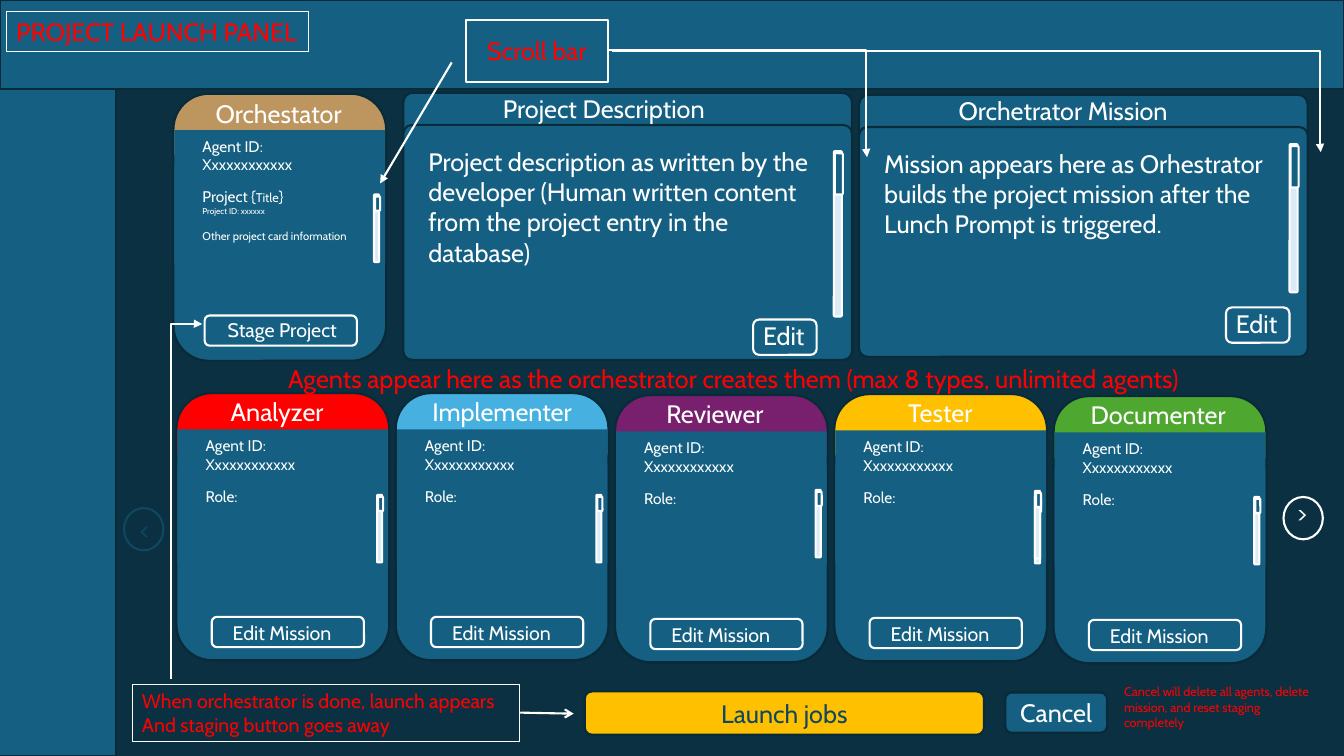
from dataclasses import dataclass

import lxml.etree
import pptx
import pptx.dml.color
import pptx.enum.shapes
import pptx.enum.text
import pptx.oxml.ns
import pptx.util

Inches = pptx.util.Inches
Pt = pptx.util.Pt
Kind = pptx.enum.shapes.MSO_SHAPE
Align = pptx.enum.text.PP_ALIGN
Anchor = pptx.enum.text.MSO_ANCHOR
AutoSize = pptx.enum.text.MSO_AUTO_SIZE
qn = pptx.oxml.ns.qn

COLORS = {
    "night": "0B3041", "panel": "156082", "edge": "092A39", "deep": "104862",
    "track": "DCEAF7", "white": "FFFFFF", "red": "FF0000", "tan": "BD955F",
    "sky": "46B1E1", "plum": "78206E", "amber": "FFC000", "green": "4EA72E",
}
BLANK_LINE = 9.7  # gap between groups of card text, in points
Box = tuple[float, float, float, float]
Point = tuple[float, float]


@dataclass(frozen=True)
class Line:
    runs: tuple[tuple[str, float], ...]
    space_before: float = 0


@dataclass(frozen=True)
class Card:
    title: str
    color: str
    left: float
    top: float
    title_box: Box
    lines: tuple[Line, ...]
    scroll_tops: tuple[float, ...]
    button: str
    button_at: Point
    button_text_box: Box


@dataclass(frozen=True)
class Panel:
    title: str
    body: str
    left: float
    top: float
    height: float
    title_width: float
    edit_at: Point
    scroll: Box


presentation = pptx.Presentation()
presentation.slide_width, presentation.slide_height = Inches(13.33), Inches(7.5)
slide = presentation.slides.add_slide(presentation.slide_layouts[5])


def rgb(name: str) -> pptx.dml.color.RGBColor:
    return pptx.dml.color.RGBColor.from_string(COLORS[name])


def write(shape, lines: tuple[Line, ...], color: str = "white", align=Align.LEFT,
          anchor=Anchor.TOP, wrap: bool = True) -> None:
    frame = shape.text_frame
    for name, value in {"word_wrap": wrap, "auto_size": AutoSize.NONE,
                        "vertical_anchor": anchor}.items():
        setattr(frame, name, value)
    for index, line in enumerate(lines):
        paragraph = frame.add_paragraph() if index else frame.paragraphs[0]
        paragraph.alignment = align
        if line.space_before:
            paragraph.space_before = Pt(line.space_before)
        for text, size in line.runs:
            run = paragraph.add_run()
            run.text = text
            for name, value in {"name": "Cabin", "size": Pt(size)}.items():
                setattr(run.font, name, value)
            run.font.color.rgb = rgb(color)


def plain(size: float, *texts: str) -> tuple[Line, ...]:
    return tuple(Line(((text, size),)) for text in texts)


def add_text(box: Box, lines: tuple[Line, ...], color: str = "white", wrap: bool = False):
    shape = slide.shapes.add_textbox(*map(Inches, box))
    write(shape, lines, color, wrap=wrap)
    return shape


def outline(shape, color: str, width: float = 1.5) -> None:
    shape.line.color.rgb = rgb(color)
    shape.line.width = Pt(width)


def add_shape(kind, box: Box, fill: str = "", line: str = "", corner: float | None = None,
              label: str = "", label_color: str = "white"):
    """An empty fill or line name means none; the label is centred."""
    shape = slide.shapes.add_shape(kind, *map(Inches, box))
    shape.shadow.inherit = False
    if fill:
        shape.fill.solid()
        shape.fill.fore_color.rgb = rgb(fill)
    else:
        shape.fill.background()
    if line:
        outline(shape, line)
    else:
        shape.line.fill.background()
    if corner is not None:
        shape.adjustments[0] = corner
    if label:
        write(shape, plain(18, label), label_color, Align.CENTER, Anchor.MIDDLE)
    return shape


def add_arrow(start: Point, end: Point, head: str = "triangle",
              bend: int | None = None, quarter_turn: bool = False) -> None:
    """bend is the elbow place in thousandths of a percent; None draws a straight arrow."""
    connector_type = pptx.enum.shapes.MSO_CONNECTOR
    kind = connector_type.STRAIGHT if bend is None else connector_type.ELBOW
    connector = slide.shapes.add_connector(kind, *map(Inches, start + end))
    outline(connector, "white")
    properties = connector.element.spPr
    lxml.etree.SubElement(connector.line._get_or_add_ln(), qn("a:tailEnd"), type=head)
    lxml.etree.SubElement(properties, qn("a:effectLst"))
    if bend is not None:
        guides = properties.find(qn("a:prstGeom")).get_or_add_avLst()
        lxml.etree.SubElement(guides, qn("a:gd"), name="adj1", fmla=f"val {bend}")
    if quarter_turn:
        properties.find(qn("a:xfrm")).set("rot", "5400000")


def add_scroll_bar(box: Box, thumb_height: float) -> None:
    left, top, width, height = box
    add_shape(Kind.ROUNDED_RECTANGLE, box, "track", "white")
    add_shape(Kind.ROUNDED_RECTANGLE, (left + 0.01, top + 0.02, width, thumb_height),
              "panel", "white")


def add_card(card: Card) -> None:
    left, top = card.left, card.top
    add_shape(Kind.ROUNDED_RECTANGLE, (left, top, 2.11, 2.65), card.color, "edge")
    add_shape(Kind.ROUNDED_RECTANGLE, (left, top + 0.38, 2.11, 2.27), "panel", "edge")
    add_text(card.title_box, plain(18, card.title))
    add_shape(Kind.RECTANGLE, (left + 0.01, top + 0.36, 2.09, 1.33), "panel")
    add_text((left + 0.19, top + 0.38, 1.77, 1.06), card.lines, wrap=True)
    for scroll_top in card.scroll_tops:
        add_scroll_bar((left + 1.99, scroll_top, 0.05, 0.67), 0.14)
    add_text(card.button_text_box, plain(14, card.button))
    add_shape(Kind.ROUNDED_RECTANGLE, (*card.button_at, 1.51, 0.3), line="white")


def add_panel(panel: Panel) -> None:
    left, top, height = panel.left, panel.top, panel.height
    for drop in (0, 0.32):
        add_shape(Kind.ROUNDED_RECTANGLE, (left, top + drop, 4.45, height - drop),
                  "panel", "edge", 0.037)
    add_text((left + 0.89, top - 0.04, panel.title_width, 0.4), plain(18, panel.title))
    add_text((left + 0.15, top + 0.48, 4.02, 1.31), plain(18, panel.body), wrap=True)
    edit_left, edit_top = panel.edit_at
    add_text((edit_left, edit_top - 0.04, 0.63, 0.4), plain(18, "Edit"))
    add_shape(Kind.ROUNDED_RECTANGLE, (edit_left, edit_top, 0.63, 0.35), line="white")
    add_scroll_bar(panel.scroll, 0.41)


def agent(index: int, title: str, color: str, top: float, title_left: float,
          title_width: float, *scroll_tops: float) -> Card:
    left = 1.75 + 2.175 * index
    return Card(title, color, left, top, (title_left, top - 0.02, title_width, 0.4),
                AGENT_ID + (Line((("Role:", 11),), BLANK_LINE),), scroll_tops,
                "Edit Mission", (left + 0.35, top + 2.22), (left + 0.46, top + 2.21, 1.23, 0.34))


AGENT_ID = plain(11, "Agent ID:", "Xxxxxxxxxxxx")
PROJECT_LINES = AGENT_ID + (
    Line((("Project {", 11), ("Title", 9), ("}", 11)), BLANK_LINE),
    Line((("Project ID: xxxxxx", 6),)),
    Line((("Other project card information", 8),), BLANK_LINE),
)
CARDS = (
    Card("Orchestator", "tan", 1.72, 0.93, (2.04, 0.93, 1.51, 0.4), PROJECT_LINES, (1.93,),
         "Stage Project", (2.03, 3.13), (2.16, 3.1, 1.32, 0.34)),
    agent(0, "Analyzer", "red", 3.9, 2.19, 1.13, 4.91),
    agent(1, "Implementer", "sky", 3.9, 4.19, 1.61, 4.91),
    agent(2, "Reviewer", "plum", 3.92, 6.51, 1.19, 4.86),
    agent(3, "Tester", "amber", 3.91, 8.91, 0.86, 4.92, 4.87),
    agent(4, "Documenter", "green", 3.93, 10.72, 1.57, 4.93),
)
PANELS = (
    Panel("Project Description", "Project description as written by the developer (Human "
          "written content from the project entry in the database)",
          4, 0.92, 2.65, 2.29, (7.47, 3.17), (8.27, 1.5, 0.08, 1.64)),
    Panel("Orchetrator Mission", "Mission appears here as Orhestrator builds the project "
          "mission after the Lunch Prompt is triggered.",
          8.52, 0.94, 2.6, 2.36, (12.16, 3.05), (12.79, 1.43, 0.08, 1.47)),
)

slide.background.fill.solid()
slide.background.fill.fore_color.rgb = rgb("night")
for bar in ((-0.05, 0, 1.2, 7.5), (0, 0, 13.33, 0.88)):
    add_shape(Kind.RECTANGLE, bar, "panel", "edge")
for card in CARDS:
    add_card(card)
for panel in PANELS:
    add_panel(panel)
add_text((2.76, 3.56, 9.26, 0.4), plain(
    18, "Agents appear here as the orchestrator creates them (max 8 types, unlimited agents)"), "red")

add_shape(Kind.RECTANGLE, (4.62, 0.2, 1.41, 0.61), "panel", "white",
          label="Scroll bar", label_color="red")
add_arrow((4.48, 0.62), (3.77, 1.82))
add_arrow((6.03, 0.5), (8.6, 1.56), bend=99700)
add_arrow((6.07, 0.51), (13.1, 1.51), bend=99900)

add_shape(Kind.OVAL, (1.23, 5.04, 0.39, 0.42), line="deep", label="<", label_color="deep")
next_button = add_shape(Kind.OVAL, (12.73, 4.93, 0.39, 0.42), line="white", label="<")
next_button.rotation = 180
add_shape(Kind.ROUNDED_RECTANGLE, (5.8, 6.86, 3.96, 0.43), "amber", "edge",
          label="Launch jobs", label_color="deep")
add_shape(Kind.ROUNDED_RECTANGLE, (9.97, 6.87, 1.01, 0.4), "panel", "edge", label="Cancel")

launch_note = add_text((1.31, 6.79, 3.84, 0.57), plain(
    14, "When orchestrator is done, launch appears", "And staging button goes away"), "red")
outline(launch_note, "white", 0.75)
add_arrow((5.16, 7.07), (5.69, 7.08), "arrow")
add_arrow((3.61, 5.13), (0.09, 4.82), bend=100100, quarter_turn=True)
add_text((11.05, 6.74, 2.09, 0.71), plain(
    9, "Cancel will delete all agents, delete mission, and reset staging completely"), "red", True)

title = slide.shapes.title
for name, value in {"left": 0.06, "top": 0.11, "width": 3, "height": 0.4}.items():
    setattr(title, name, Inches(value))
write(title, plain(18, "PROJECT LAUNCH PANEL"), "red", wrap=False)
outline(title, "white", 0.75)
title.element.getparent().append(title.element)  # in front of the top bar

presentation.save("out.pptx")
